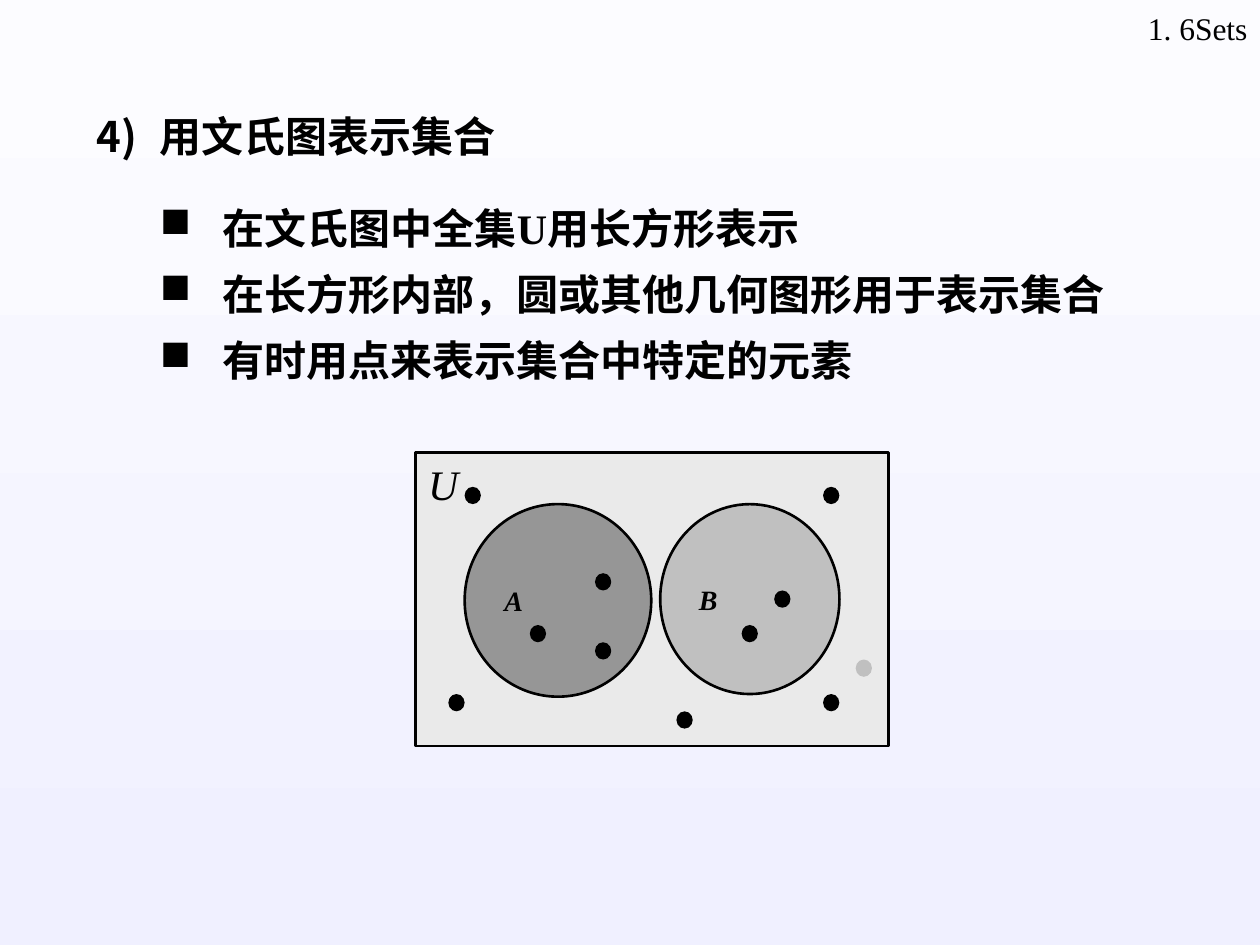
from dataclasses import dataclass

from lxml import etree
from pptx import Presentation
from pptx.dml.color import RGBColor
from pptx.enum.shapes import MSO_SHAPE
from pptx.enum.text import MSO_ANCHOR, PP_ALIGN
from pptx.oxml.ns import qn
from pptx.util import Inches, Pt

RECTANGLE, OVAL = MSO_SHAPE.RECTANGLE, MSO_SHAPE.OVAL
TOP, MIDDLE = MSO_ANCHOR.TOP, MSO_ANCHOR.MIDDLE
LEFT, RIGHT, JUSTIFY = PP_ALIGN.LEFT, PP_ALIGN.RIGHT, PP_ALIGN.JUSTIFY


@dataclass(frozen=True)
class Theme:
    font: str = "Times New Roman"
    ink: str = "000000"
    background: tuple = ("FCFCFF", "F0F0FF")
    universe: str = "EAEAEA"
    set_a: str = "969696"
    set_b: str = "C0C0C0"
    body_size: int = 24
    header_size: int = 18
    set_size: int = 16
    outline: float = 1.5


THEME = Theme()
SLIDE_WIDTH, SLIDE_HEIGHT = 10, 7.5

# The diagram is a grid of small cells, each the size of one dot
DIAGRAM_LEFT, DIAGRAM_TOP = 3.3, 3.59
DIAGRAM_WIDTH, DIAGRAM_HEIGHT = 3.75, 2.33
COLUMNS, ROWS = 29, 17

HEADING = "用文氏图表示集合"
# Text, space before in points, alignment
POINTS = [
    ("在文氏图中全集U用长方形表示", 24, LEFT),
    ("在长方形内部，圆或其他几何图形用于表示集合", 9, JUSTIFY),
    ("有时用点来表示集合中特定的元素", 9, JUSTIFY),
]
# Column and row of each dot
BLACK_DOTS = [(11, 11), (2, 14), (7, 10), (16, 15), (20, 10),
              (22, 8), (25, 2), (25, 14), (3, 2), (11, 7)]
GREY_DOT = (27, 12)


def color(value):
    return RGBColor.from_string(value)


def add_span(para, text, **formats):
    span = para.add_run()
    span.text = text
    for name, value in ({"name": THEME.font} | formats).items():
        setattr(span.font, name, value)
    span.font.color.rgb = color(THEME.ink)


def add_bullet(para, level, tag, **attributes):
    """Give the paragraph a hanging indent and a bullet or number."""
    properties = para._p.get_or_add_pPr()
    properties.set("marL", str(Inches(0.5 * (level + 1))))
    properties.set("indent", str(Inches(-0.5)))
    bullet_color = etree.SubElement(properties, qn("a:buClr"))
    etree.SubElement(bullet_color, qn("a:srgbClr"), val=THEME.ink)
    etree.SubElement(properties, qn(tag), **attributes)
    para.level = level


def add_text_box(page, left, top, width, height):
    """Place a wrapping box by shares of the slide's size."""
    box = page.shapes.add_textbox(
        Inches(left * SLIDE_WIDTH), Inches(top * SLIDE_HEIGHT),
        Inches(width * SLIDE_WIDTH), Inches(height * SLIDE_HEIGHT))
    box.text_frame.word_wrap = True
    return box.text_frame


def add_cell_shape(group, kind, cell, span, fill, outlined=False):
    """Place a shape by columns and rows of the diagram's grid."""
    cell_width, cell_height = DIAGRAM_WIDTH / COLUMNS, DIAGRAM_HEIGHT / ROWS
    shape = group.shapes.add_shape(
        kind,
        Inches(DIAGRAM_LEFT + cell[0] * cell_width),
        Inches(DIAGRAM_TOP + cell[1] * cell_height),
        Inches(span[0] * cell_width), Inches(span[1] * cell_height))
    shape.shadow.inherit = False
    shape.fill.solid()
    shape.fill.fore_color.rgb = color(fill)
    if outlined:
        shape.line.color.rgb = color(THEME.ink)
        shape.line.width = Pt(THEME.outline)
    else:
        shape.line.fill.background()
    return shape


def add_set(group, kind, cell, span, fill, label, anchor, align, **formats):
    shape = add_cell_shape(group, kind, cell, span, fill, outlined=True)
    frame = shape.text_frame
    frame.word_wrap = False
    frame.vertical_anchor = anchor
    para = frame.paragraphs[0]
    para.alignment = align
    add_span(para, label, italic=True, **formats)


def paint_background(page):
    fill = page.background.fill
    fill.gradient()
    fill.gradient_angle = 270
    for stop, value in zip(fill.gradient_stops, THEME.background):
        stop.color.rgb = color(value)


def add_body(page):
    formats = {"size": Pt(THEME.body_size), "bold": True}
    frame = add_text_box(page, 0.067, 0.11, 0.875, 0.305)
    para = frame.paragraphs[0]
    add_bullet(para, 0, "a:buAutoNum", type="arabicParenR", startAt="4")
    add_span(para, HEADING, **formats)
    for text, space, align in POINTS:
        para = frame.add_paragraph()
        add_bullet(para, 1, "a:buChar", char="■")
        para.space_before = Pt(space)
        para.alignment = align
        add_span(para, text, **formats)


def add_header(page):
    para = add_text_box(page, 0.6, 0.003, 0.4, 0.053).paragraphs[0]
    para.alignment = RIGHT
    add_span(para, "1. 6Sets", size=Pt(THEME.header_size))


def add_venn_diagram(page):
    group = page.shapes.add_group_shape()
    label = {"size": Pt(THEME.set_size), "bold": True}
    # Universe and the two sets
    add_set(group, RECTANGLE, (0, 0), (COLUMNS, ROWS), THEME.universe,
            "U", TOP, LEFT, size=Pt(THEME.body_size))
    add_set(group, OVAL, (3, 3), (11.45, 11.15), THEME.set_a,
            "A", MIDDLE, JUSTIFY, **label)
    add_set(group, OVAL, (15, 3), (11, 11), THEME.set_b,
            "B", MIDDLE, JUSTIFY, **label)
    # Elements
    for cell in BLACK_DOTS:
        add_cell_shape(group, OVAL, cell, (1, 1), THEME.ink)
    add_cell_shape(group, OVAL, GREY_DOT, (1, 1), THEME.set_b)


def main():
    deck = Presentation()
    deck.slide_width = Inches(SLIDE_WIDTH)
    deck.slide_height = Inches(SLIDE_HEIGHT)
    page = deck.slides.add_slide(deck.slide_layouts[6])
    paint_background(page)
    add_body(page)
    add_header(page)
    add_venn_diagram(page)
    deck.save("out.pptx")


if __name__ == "__main__":
    main()
